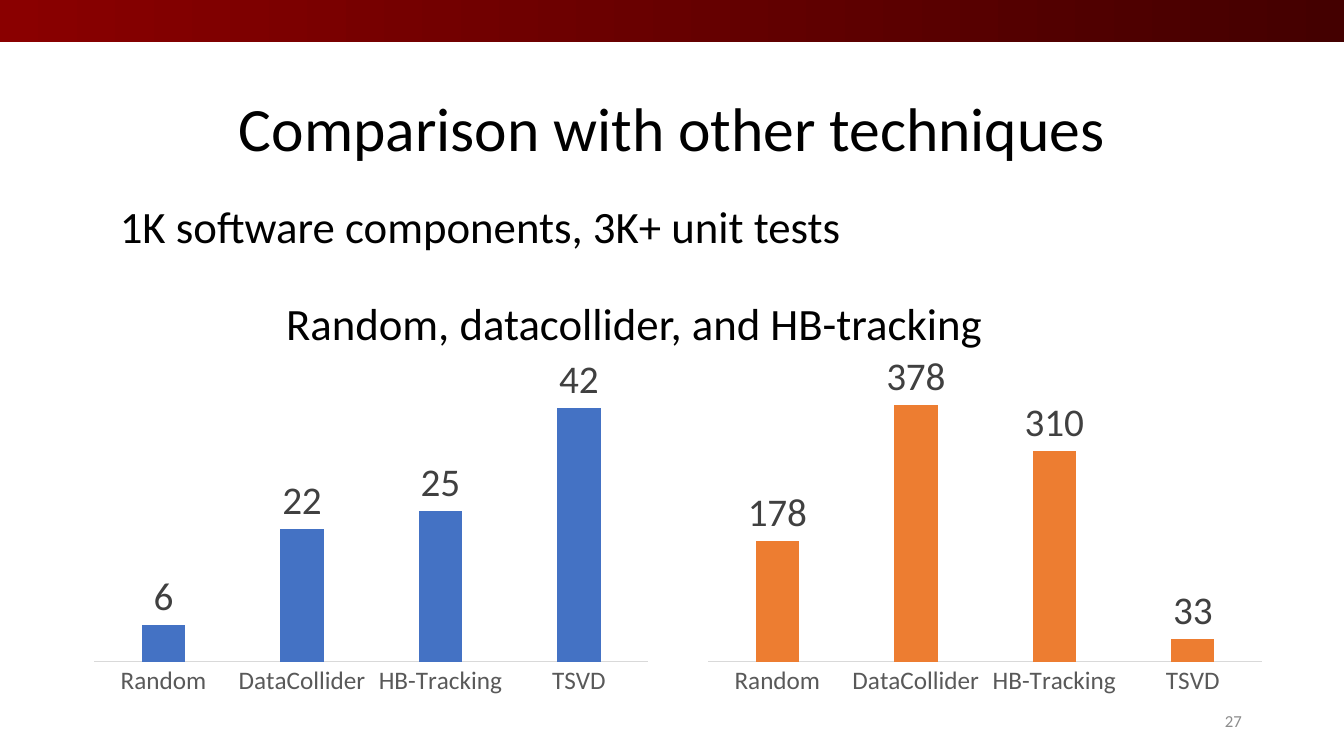
from lxml.etree import SubElement
from pptx import Presentation
from pptx.chart.data import CategoryChartData
from pptx.dml.color import RGBColor
from pptx.enum.chart import XL_CHART_TYPE, XL_LABEL_POSITION, XL_TICK_MARK
from pptx.enum.shapes import MSO_SHAPE
from pptx.enum.text import MSO_ANCHOR, PP_ALIGN
from pptx.oxml.ns import qn
from pptx.util import Cm, Pt


def style_font(font, size, color):
    font.name = "Calibri"
    font.size = Pt(size)
    font.color.rgb = RGBColor.from_string(color)


def set_plot_layout(chart, left, top, width, height):
    """Fix the inner plot area, in fractions of the chart's size."""
    plot_area = chart.plots[0]._element.getparent()
    for layout in plot_area.findall(qn("c:layout")):
        plot_area.remove(layout)
    layout = SubElement(plot_area, qn("c:layout"))
    plot_area.insert(0, layout)
    manual = SubElement(layout, qn("c:manualLayout"))
    settings = [("layoutTarget", "inner"), ("xMode", "edge"), ("yMode", "edge"),
                ("x", left), ("y", top), ("w", width), ("h", height)]
    for name, value in settings:
        SubElement(manual, qn(f"c:{name}")).set("val", str(value))


presentation = Presentation()
presentation.slide_width = Cm(33.87)
presentation.slide_height = Cm(19.05)
slide = presentation.slides.add_slide(presentation.slide_layouts[5])

# Title
title = slide.shapes.title
title.left, title.top, title.width, title.height = Cm(2.34), Cm(1.47), Cm(29.21), Cm(3.68)
title.text_frame.text = "Comparison with other techniques"
title.text_frame.vertical_anchor = MSO_ANCHOR.MIDDLE
paragraph = title.text_frame.paragraphs[0]
paragraph.alignment = PP_ALIGN.CENTER
paragraph.line_spacing = 0.9
style_font(paragraph.runs[0].font, 44, "000000")

# Charts
techniques = ["Random", "DataCollider", "HB-Tracking", "TSVD"]
charts = [
    ([6, 22, 25, 42], 45, "4472C4", 2.13),
    ([178, 378, 310, 33], 400, "ED7D31", 17.6),
]
for values, maximum, color, left in charts:
    chart_data = CategoryChartData()
    chart_data.categories = techniques
    chart_data.add_series("", values)
    chart = slide.shapes.add_chart(
        XL_CHART_TYPE.COLUMN_CLUSTERED, Cm(left), Cm(6.91), Cm(14.45), Cm(12.57), chart_data
    ).chart
    style_font(chart.font, 10, "000000")
    chart.has_title = False
    chart.has_legend = False
    set_plot_layout(chart, 0.017, 0.232, 0.966, 0.545)

    value_axis = chart.value_axis
    value_axis.minimum_scale = 0
    value_axis.maximum_scale = maximum
    value_axis.has_major_gridlines = False
    value_axis.visible = False

    category_axis = chart.category_axis
    category_axis.major_tick_mark = XL_TICK_MARK.NONE
    category_axis.format.line.color.rgb = RGBColor.from_string("D9D9D9")
    category_axis.format.line.width = Pt(0.75)
    style_font(category_axis.tick_labels.font, 18, "595959")

    plot = chart.plots[0]
    plot.gap_width = 219
    plot.overlap = -27
    plot.vary_by_categories = False
    series = plot.series[0]
    series.format.fill.solid()
    series.format.fill.fore_color.rgb = RGBColor.from_string(color)
    labels = series.data_labels
    labels.show_value = True
    labels.position = XL_LABEL_POSITION.OUTSIDE_END
    style_font(labels.font, 28, "404040")

# Top band
band = slide.shapes.add_shape(MSO_SHAPE.RECTANGLE, 0, 0, presentation.slide_width, Cm(1.07))
band.shadow.inherit = False
band.line.fill.background()
band.fill.gradient()
band.fill.gradient_angle = 0
for stop, position, color in zip(band.fill.gradient_stops, (0, 1), ("8A0000", "440000")):
    stop.position = position
    stop.color.rgb = RGBColor.from_string(color)

# Text lines and slide number
texts = [
    ("1K software components, 3K+ unit tests", 2.77, 4.88, 23.29, 1.63,
     32, "000000", PP_ALIGN.LEFT, MSO_ANCHOR.TOP),
    ("Random, datacollider, and HB-tracking", 6.96, 7.32, 23.29, 1.63,
     32, "000000", PP_ALIGN.LEFT, MSO_ANCHOR.TOP),
    ("27", 23.93, 17.65, 7.62, 1.02, 12, "8C8C8C", PP_ALIGN.RIGHT, MSO_ANCHOR.MIDDLE),
]
for text, left, top, width, height, size, color, alignment, anchor in texts:
    text_box = slide.shapes.add_textbox(Cm(left), Cm(top), Cm(width), Cm(height))
    text_frame = text_box.text_frame
    text_frame.word_wrap = True
    text_frame.vertical_anchor = anchor
    text_frame.text = text
    paragraph = text_frame.paragraphs[0]
    paragraph.alignment = alignment
    style_font(paragraph.runs[0].font, size, color)

presentation.save("out.pptx")
